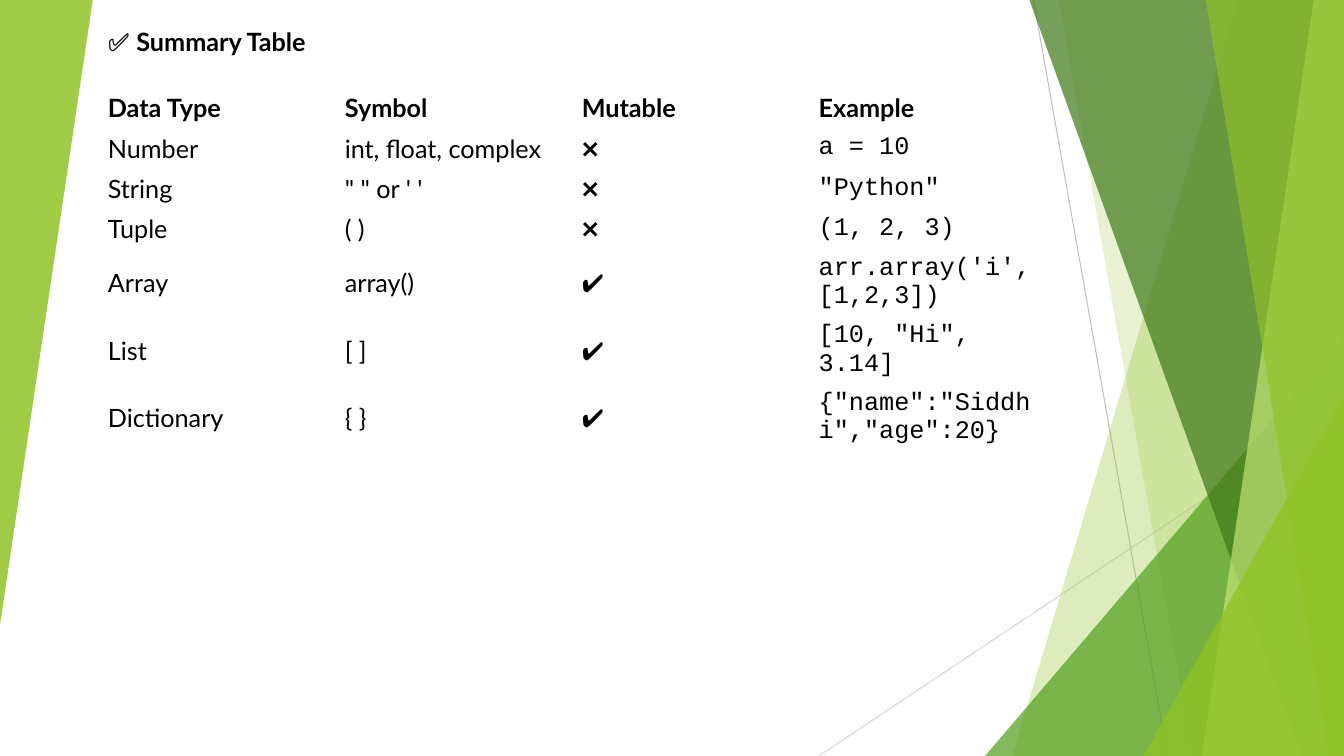
from lxml.etree import SubElement
from pptx import Presentation
from pptx.dml.color import RGBColor
from pptx.enum.shapes import MSO_CONNECTOR, MSO_SHAPE
from pptx.enum.text import MSO_ANCHOR, MSO_AUTO_SIZE, PP_ALIGN
from pptx.oxml.ns import qn
from pptx.util import Inches, Pt

COLOURS = {
    "text": "000000",
    "lime": "90C226",
    "green": "54A021",
    "forest": "3F7819",
    "pale": "C0E474",
    "grey": "BFBFBF",
    "light grey": "D9D9D9",
}
WIDTH, HEIGHT = 13.33, 7.5
BODY_FONT, CODE_FONT = "Lato", "Courier New"

LINES = [
    ((10.25, 0), (11.58, HEIGHT), "grey"),
    ((WIDTH, 4.03), (8.12, HEIGHT), "light grey"),
]
BACK_BANDS = [(12.28, 10.04, "lime", 30), (10.5, 11.83, "lime", 20)]
FRONT_BANDS = [
    (10.21, 12.91, "forest", 70),
    (13.03, 11.92, "pale", 70),
    (11.96, 13.18, "lime", 65),
]
ROWS = [
    ("Data Type", "Symbol", "Mutable", "Example"),
    ("Number", "int, float, complex", "❌", "a = 10"),
    ("String", "\" \" or ' '", "❌", '"Python"'),
    ("Tuple", "( )", "❌", "(1, 2, 3)"),
    ("Array", "array()", "✔", "arr.array('i',[1,2,3])"),
    ("List", "[ ]", "✔", '[10, "Hi", 3.14]'),
    ("Dictionary", "{ }", "✔", '{"name":"Siddhi","age":20}'),
]
ROW_HEIGHTS = [0.4] * 4 + [0.67] * 3


class SlideBuilder:
    def __init__(self, slide, size=18):
        self.slide = slide
        self.shapes = slide.shapes
        self.size = size

    def colour(self, name):
        return RGBColor.from_string(COLOURS[name])

    def span(self, para, text, bold=False, font=BODY_FONT):
        span = para.add_run()
        span.text = text
        span.font.name = font
        span.font.size = Pt(self.size)
        span.font.bold = bold
        span.font.color.rgb = self.colour("text")

    def paint(self, shape, colour, opacity):
        shape.shadow.inherit = False
        shape.fill.solid()
        shape.fill.fore_color.rgb = self.colour(colour)
        shape.line.fill.background()
        value = shape.fill._xPr.find(qn("a:solidFill"))[0]
        SubElement(value, qn("a:alpha"), val=str(opacity * 1000))

    def line(self, start, end, colour):
        points = [Inches(value) for value in (*start, *end)]
        line = self.shapes.add_connector(MSO_CONNECTOR.STRAIGHT, *points)
        line.line.color.rgb = self.colour(colour)
        line.line.width = Pt(0.75)
        SubElement(line._element.spPr, qn("a:effectLst"))

    def band(self, top_x, bottom_x, colour, opacity):
        corners = [(WIDTH, 0), (WIDTH, HEIGHT), (bottom_x, HEIGHT)]
        outline = self.shapes.build_freeform(Inches(top_x), 0)
        outline.add_line_segments([(Inches(x), Inches(y)) for x, y in corners])
        self.paint(outline.convert_to_shape(), colour, opacity)

    def triangle(self, left, top, width, height, colour, opacity, rotation=0):
        place = [Inches(value) for value in (left, top, width, height)]
        triangle = self.shapes.add_shape(MSO_SHAPE.ISOSCELES_TRIANGLE, *place)
        triangle.adjustments[0] = 1
        triangle.rotation = rotation
        self.paint(triangle, colour, opacity)

    def title(self, left, top, width, height, spans):
        title = self.shapes.title
        title.left, title.top = Inches(left), Inches(top)
        title.width, title.height = Inches(width), Inches(height)
        frame = title.text_frame
        frame.word_wrap = True
        frame.auto_size = MSO_AUTO_SIZE.NONE
        frame.vertical_anchor = MSO_ANCHOR.TOP
        para = frame.paragraphs[0]
        para.alignment = PP_ALIGN.LEFT
        for text, bold in spans:
            self.span(para, text, bold)

    def table(self, left, top, column_width, rows, heights):
        columns = len(rows[0])
        table = self.shapes.add_table(
            len(rows), columns, Inches(left), Inches(top),
            Inches(column_width * columns), Inches(sum(heights)),
        ).table
        table.first_row = False
        table.horz_banding = False
        for column in table.columns:
            column.width = Inches(column_width)
        for row_index, (texts, height) in enumerate(zip(rows, heights)):
            table.rows[row_index].height = Inches(height)
            header = row_index == 0
            for column_index, text in enumerate(texts):
                cell = table.cell(row_index, column_index)
                cell.fill.background()
                cell.vertical_anchor = MSO_ANCHOR.MIDDLE
                code = column_index == columns - 1 and not header
                font = CODE_FONT if code else BODY_FONT
                self.span(cell.text_frame.paragraphs[0], text, header, font)


def main():
    deck = Presentation()
    deck.slide_width, deck.slide_height = Inches(WIDTH), Inches(HEIGHT)
    page = SlideBuilder(deck.slides.add_slide(deck.slide_layouts[5]))
    for line in LINES:
        page.line(*line)
    for band in BACK_BANDS:
        page.band(*band)
    page.triangle(9.77, 3.33, 3.56, 4.17, "green", 72)
    for band in FRONT_BANDS:
        page.band(*band)
    page.triangle(11.34, 3.93, 1.99, 3.57, "lime", 80)
    page.triangle(0, 0, 0.92, 6.2, "lime", 85, rotation=180)
    page.table(0.97, 0.87, 2.35, ROWS, ROW_HEIGHTS)
    page.title(0.97, 0.21, 6.67, 0.4, [("✅ ", False), ("Summary Table", True)])
    deck.save("out.pptx")


if __name__ == "__main__":
    main()
